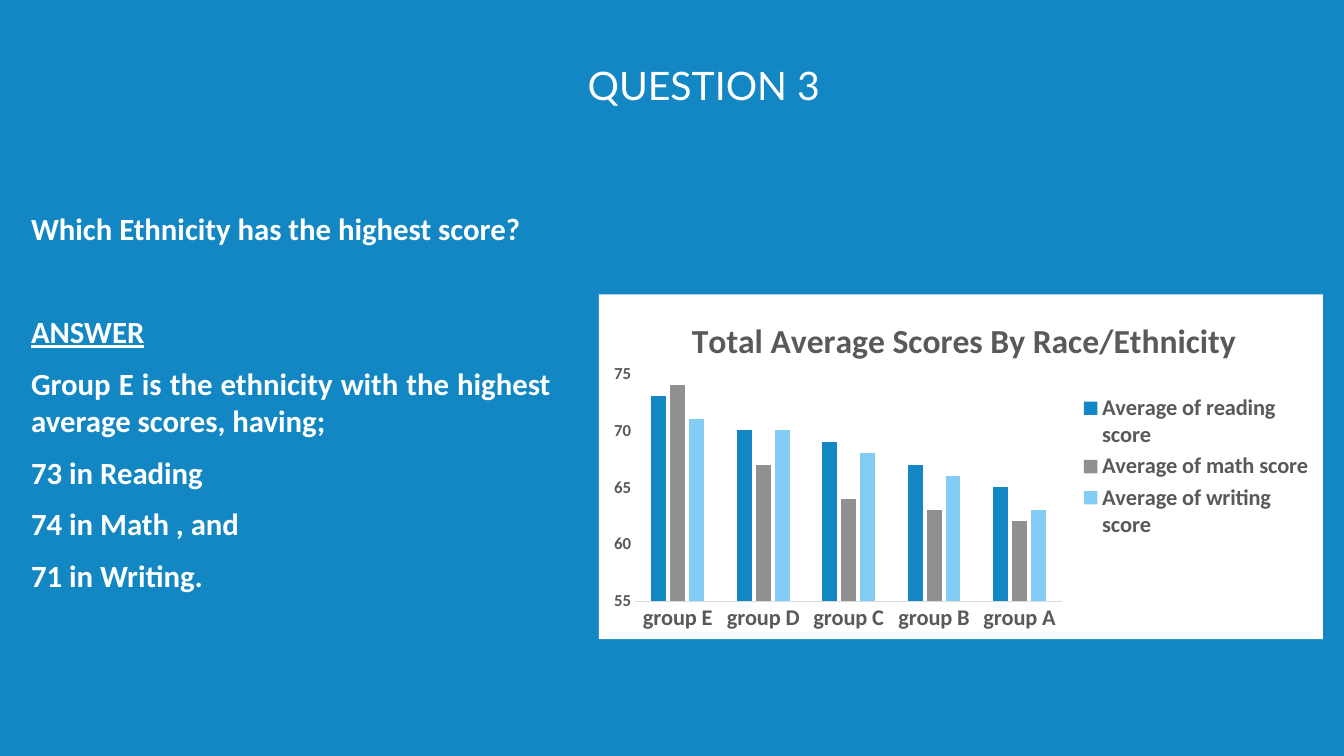
from lxml import etree
from pptx import Presentation
from pptx.chart.data import CategoryChartData
from pptx.dml.color import RGBColor
from pptx.enum.chart import XL_CHART_TYPE as ChartType
from pptx.enum.chart import XL_LEGEND_POSITION as LegendPosition
from pptx.enum.chart import XL_TICK_MARK as TickMark
from pptx.enum.text import MSO_ANCHOR as Anchor
from pptx.enum.text import PP_ALIGN as Align
from pptx.oxml import parse_xml
from pptx.oxml.ns import nsdecls, qn
from pptx.util import Inches, Pt

WIDTH, HEIGHT = Inches(13.33), Inches(7.5)
BLUE = RGBColor(0x12, 0x87, 0xC3)
GRAY = RGBColor(0x90, 0x90, 0x90)
SKY = RGBColor(0x83, 0xCD, 0xF4)
WHITE = RGBColor(0xFF, 0xFF, 0xFF)
DARK = RGBColor(0x59, 0x59, 0x59)
RULE = RGBColor(0xD9, 0xD9, 0xD9)

GROUPS = ["group E", "group D", "group C", "group B", "group A"]
SCORES = [
    ("Average of reading score", (73, 70, 69, 67, 65), BLUE),
    ("Average of math score", (74, 67, 64, 63, 62), GRAY),
    ("Average of writing score", (71, 70, 68, 66, 63), SKY),
]
ANSWER_HEADING = "ANSWER"
ANSWER_LINES = [
    "Which Ethnicity has the highest score?",
    ANSWER_HEADING,
    "Group E is the ethnicity with the highest average scores, having;",
    "73 in Reading",
    "74 in Math , and",
    "71 in Writing.",
]


def place(left, top, width, height):
    return tuple(Inches(length) for length in (left, top, width, height))


def style_font(font, name, size, color, bold=False):
    font.name = name
    font.size = Pt(size)
    font.bold = bold
    font.color.rgb = color


def add_title(page, text):
    title = page.shapes.title
    title.left, title.top, title.width, title.height = place(1.5, 0.51, 10.96, 0.66)
    frame = title.text_frame
    frame.text = text
    frame.vertical_anchor = Anchor.MIDDLE
    para = frame.paragraphs[0]
    para.alignment = Align.CENTER
    style_font(para.font, "Lato", 28, WHITE)


def add_answer(page):
    box = page.shapes.add_textbox(*place(0.21, 2.03, 5.35, 4))
    frame = box.text_frame
    frame.word_wrap = True
    frame.text = "\n".join(ANSWER_LINES)
    for para in frame.paragraphs:
        heading = para.text == ANSWER_HEADING
        para.alignment = Align.JUSTIFY
        para.space_before = Pt(41.5 if heading else 4.5)
        para.space_after = Pt(6)
        style_font(para.font, "Calibri", 22, WHITE, True)
        para.font.underline = heading
    frame.paragraphs[0].space_before = Pt(0)


def set_layout(element, **shares):
    for old in element.findall(qn("c:layout")):
        element.remove(old)
    layout = etree.Element(qn("c:layout"))
    manual = etree.SubElement(layout, qn("c:manualLayout"))
    settings = {"xMode": "edge", "yMode": "edge", **shares}
    if element.tag == qn("c:plotArea"):
        settings = {"layoutTarget": "inner", **settings}
    for key, value in settings.items():
        etree.SubElement(manual, qn(f"c:{key}")).set("val", str(value))
    overlay = element.find(qn("c:overlay"))
    if overlay is None:
        element.insert(0, layout)
    else:
        overlay.addprevious(layout)


def fill_chart(chart, color):
    area = parse_xml(
        f'<c:spPr {nsdecls("c", "a")}><a:solidFill><a:srgbClr val="{color}"/>'
        "</a:solidFill><a:ln><a:noFill/></a:ln></c:spPr>"
    )
    chart.element.find(qn("c:chart")).addnext(area)


def style_axis(axis, size):
    axis.major_tick_mark = TickMark.NONE
    axis.minor_tick_mark = TickMark.NONE
    axis.has_major_gridlines = False
    style_font(axis.tick_labels.font, "Calibri", size, DARK, True)


def add_score_chart(page):
    data = CategoryChartData(number_format="0")
    data.categories = GROUPS
    for name, values, _ in SCORES:
        data.add_series(name, values)
    chart = page.shapes.add_chart(
        ChartType.COLUMN_CLUSTERED, *place(5.94, 2.92, 7.18, 3.42), data
    ).chart
    chart.font.name = "Calibri"
    chart.font.size = Pt(10)
    fill_chart(chart, WHITE)

    chart.has_title = True
    title = chart.chart_title
    title.include_in_layout = False
    title.text_frame.text = "Total Average Scores By Race/Ethnicity"
    style_font(title.text_frame.paragraphs[0].font, "Calibri", 24, DARK, True)

    plot = chart.plots[0]
    plot.gap_width, plot.overlap = 219, -27
    plot.vary_by_categories = False
    for series, (_, _, color) in zip(plot.series, SCORES):
        series.format.fill.solid()
        series.format.fill.fore_color.rgb = color

    style_axis(chart.category_axis, 16)
    chart.category_axis.format.line.color.rgb = RULE
    chart.category_axis.format.line.width = Pt(0.75)
    scale = chart.value_axis
    style_axis(scale, 12)
    scale.format.line.fill.background()
    scale.minimum_scale, scale.maximum_scale, scale.major_unit = 55, 75, 5
    scale.tick_labels.number_format = "0"
    scale.tick_labels.number_format_is_linked = False

    chart.has_legend = True
    legend = chart.legend
    legend.position = LegendPosition.RIGHT
    legend.include_in_layout = False
    style_font(legend.font, "Calibri", 16, DARK, True)

    body = chart.element.find(qn("c:chart"))
    set_layout(body.find(qn("c:title")), x=0.12, y=0.05)
    set_layout(body.find(qn("c:plotArea")), x=0.05, y=0.23, w=0.59, h=0.66)
    set_layout(body.find(qn("c:legend")), x=0.66, y=0.28, w=0.33, h=0.44)


def main():
    deck = Presentation()
    deck.slide_width, deck.slide_height = WIDTH, HEIGHT
    page = deck.slides.add_slide(deck.slide_layouts[5])
    page.background.fill.solid()
    page.background.fill.fore_color.rgb = BLUE
    add_title(page, "QUESTION 3")
    add_answer(page)
    add_score_chart(page)
    deck.save("out.pptx")


if __name__ == "__main__":
    main()
